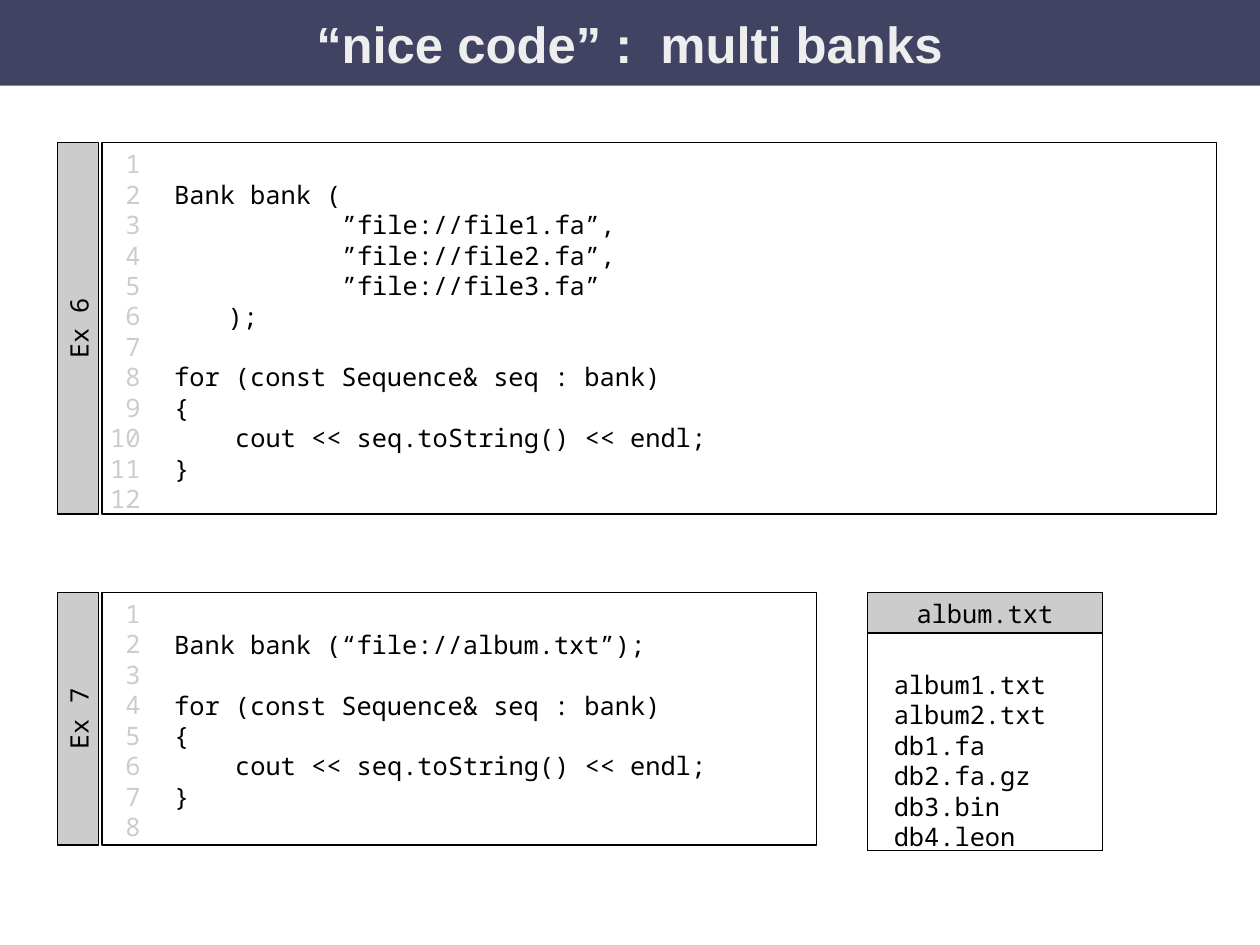
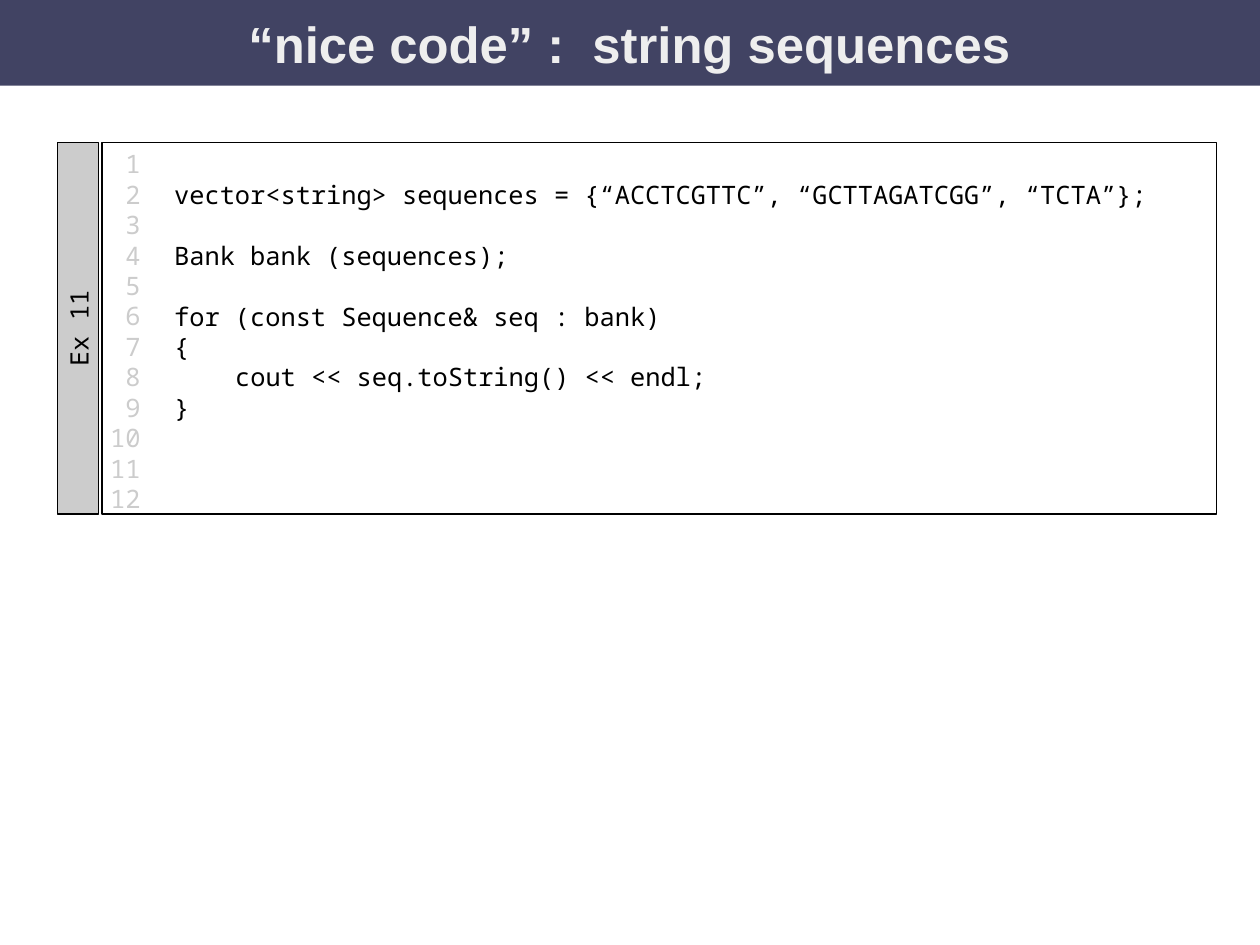
"""Two slides of code examples under a shared title band."""
from dataclasses import dataclass
from typing import Optional

from lxml import etree
from pptx import Presentation
from pptx import util as u
from pptx.dml.color import RGBColor
from pptx.enum import shapes, text
from pptx.oxml import ns

SLIDE_WIDTH, SLIDE_HEIGHT = u.Cm(28), u.Cm(21)
COLORS = {"band": "414363", "title": "EEEEEE", "gray": "CCCCCC", "ink": "000000"}
TITLE_FONT, CODE_FONT = "Arial", "Noto Sans Mono"
CODE_SIZE = u.Pt(16)
COLUMN, ROW = u.Pt(9.6), u.Pt(19.2)
SIDE_INSET, TOP_INSET = u.Inches(0.1), u.Inches(0.05)
LEFT, CENTER, RIGHT = text.PP_ALIGN.LEFT, text.PP_ALIGN.CENTER, text.PP_ALIGN.RIGHT
TITLE_ONLY, TITLE_AND_BODY = 5, 1


@dataclass(frozen=True)
class Frame:
    """A place on the slide, in percent of its width and height."""
    left: float
    top: float
    width: float
    height: float

    def lengths(self) -> tuple[int, int, int, int]:
        """Return left, top, width and height as slide lengths."""
        return (int(SLIDE_WIDTH * self.left / 100), int(SLIDE_HEIGHT * self.top / 100),
                int(SLIDE_WIDTH * self.width / 100), int(SLIDE_HEIGHT * self.height / 100))


@dataclass(frozen=True)
class Line:
    """A line of text, its indent in columns and the free rows above it."""
    words: str
    column: float = 0
    rows_above: int = 0


@dataclass(frozen=True)
class Example:
    """A numbered code panel with an upright label."""
    label: str
    top: float
    width: float
    height: float
    rows: int
    code: tuple[Line, ...]


@dataclass(frozen=True)
class Listing:
    """A named file and the lines in it."""
    name: str
    frame: Frame
    header_height: float
    entries: tuple[Line, ...]


@dataclass(frozen=True)
class Page:
    """The content of one slide."""
    title: str
    examples: tuple[Example, ...]
    listing: Optional[Listing] = None


LOOP = (
    Line("for (const Sequence& seq : bank)", 4, 1),
    Line("{", 4),
    Line("cout << seq.toString() << endl;", 8),
    Line("}", 4),
)
TALL = {"top": 15.09, "width": 88.45, "height": 39.3, "rows": 12}
PAGES = (
    Page("“nice code” :  multi banks", (
        Example("Ex 6", **TALL, code=(
            Line("Bank bank (", 4),
            Line("”file://file1.fa”,", 15),
            Line("”file://file2.fa”,", 15),
            Line("”file://file3.fa”", 15),
            Line(");", 7.5),
            *LOOP)),
        Example("Ex 7", 62.7, 56.7, 26.72, 8, (
            Line("Bank bank (“file://album.txt”);", 4), *LOOP)),
    ), Listing("album.txt", Frame(68.82, 66.98, 18.69, 22.97), 4.28, tuple(
        Line(name, 1) for name in ("album1.txt", "album2.txt", "db1.fa",
                                   "db2.fa.gz", "db3.bin", "db4.leon")))),
    Page("“nice code” :  string sequences", (
        Example("Ex 11", **TALL, code=(
            Line("vector<string> sequences = {“ACCTCGTTC”, “GCTTAGATCGG”, “TCTA”};", 4),
            Line("Bank bank (sequences);", 4, 1),
            *LOOP)),
    )),
)


def rgb(name: str) -> RGBColor:
    """Look up a named colour."""
    return RGBColor.from_string(COLORS[name])


def place(part, frame: Frame) -> None:
    """Move a part to its frame."""
    part.left, part.top, part.width, part.height = frame.lengths()


def outline(part, fill: Optional[str] = None) -> None:
    """Give a part a hairline border and an optional fill."""
    if fill:
        part.fill.solid()
        part.fill.fore_color.rgb = rgb(fill)
    else:
        part.fill.background()
    part.line.color.rgb = rgb("ink")
    part.line.width = 0


def write(part, lines: tuple[Line, ...], color: str = "ink", align=LEFT,
          rows_above: int = 0, right_inset: int = SIDE_INSET) -> None:
    """Fill a part with lines of code set on the character grid."""
    frame = part.text_frame
    frame.word_wrap = True
    frame.auto_size = text.MSO_AUTO_SIZE.NONE
    frame.vertical_anchor = text.MSO_ANCHOR.TOP
    frame.margin_left, frame.margin_right = SIDE_INSET, right_inset
    frame.margin_top, frame.margin_bottom = TOP_INSET + rows_above * ROW, 0
    for index, line in enumerate(lines):
        paragraph = frame.paragraphs[0] if index == 0 else frame.add_paragraph()
        properties = paragraph._p.get_or_add_pPr()
        properties.set("marL", str(int(line.column * COLUMN)))
        properties.set("indent", "0")
        etree.SubElement(properties, ns.qn("a:buNone"))
        paragraph.text = line.words
        paragraph.alignment = align
        paragraph.line_spacing = ROW
        paragraph.space_before = u.Emu(line.rows_above * ROW)
        paragraph.font.name, paragraph.font.size = CODE_FONT, CODE_SIZE
        paragraph.font.color.rgb = rgb(color)


def add_box(slide, frame: Frame, fill: Optional[str] = None):
    """Add an outlined rectangle."""
    box = slide.shapes.add_shape(shapes.MSO_SHAPE.RECTANGLE, *frame.lengths())
    box.shadow.inherit = False
    outline(box, fill)
    return box


def add_example(slide, example: Example) -> None:
    """Draw a code panel, its upright label and its line numbers."""
    panel = add_box(slide, Frame(8.1, example.top, example.width, example.height))
    write(panel, example.code, rows_above=1)

    label = add_box(slide, Frame(4.58, example.top, 3.27, example.height), "gray")
    middle_x, middle_y = label.left + label.width // 2, label.top + label.height // 2
    label.width, label.height = label.height, label.width
    label.left, label.top = middle_x - label.width // 2, middle_y - label.height // 2
    label.rotation = 270
    write(label, (Line(example.label),), align=CENTER)

    numbers = slide.shapes.add_textbox(
        *Frame(7.8, example.top, 4.54, example.height).lengths())
    write(numbers, tuple(Line(str(n + 1)) for n in range(example.rows)),
          "gray", RIGHT, right_inset=u.Inches(0.13))


def add_listing(slide, listing: Listing) -> None:
    """Draw a file listing in the body placeholder, under a header."""
    body, frame = slide.placeholders[1], listing.frame
    place(body, frame)
    outline(body)
    write(body, listing.entries, rows_above=1)
    header = add_box(slide, Frame(frame.left, frame.top - listing.header_height,
                                  frame.width, listing.header_height), "gray")
    write(header, (Line(listing.name),), align=CENTER)


def set_title(slide, words: str) -> None:
    """Turn the title placeholder into the band across the top."""
    title = slide.shapes.title
    place(title, Frame(0, 0, 100, 9.07))
    title.fill.solid()
    title.fill.fore_color.rgb = rgb("band")
    title.text_frame.vertical_anchor = text.MSO_ANCHOR.MIDDLE
    title.text_frame.auto_size = text.MSO_AUTO_SIZE.NONE
    paragraph = title.text_frame.paragraphs[0]
    paragraph.text = words
    paragraph.alignment = CENTER
    paragraph.font.name, paragraph.font.size = TITLE_FONT, u.Pt(32)
    paragraph.font.bold = True
    paragraph.font.color.rgb = rgb("title")


def main() -> None:
    """Build and save the slides."""
    deck = Presentation()
    deck.slide_width, deck.slide_height = SLIDE_WIDTH, SLIDE_HEIGHT
    for page in PAGES:
        layout = TITLE_AND_BODY if page.listing else TITLE_ONLY
        slide = deck.slides.add_slide(deck.slide_layouts[layout])
        set_title(slide, page.title)
        for example in page.examples:
            add_example(slide, example)
        if page.listing:
            add_listing(slide, page.listing)
    deck.save("out.pptx")


if __name__ == "__main__":
    main()
